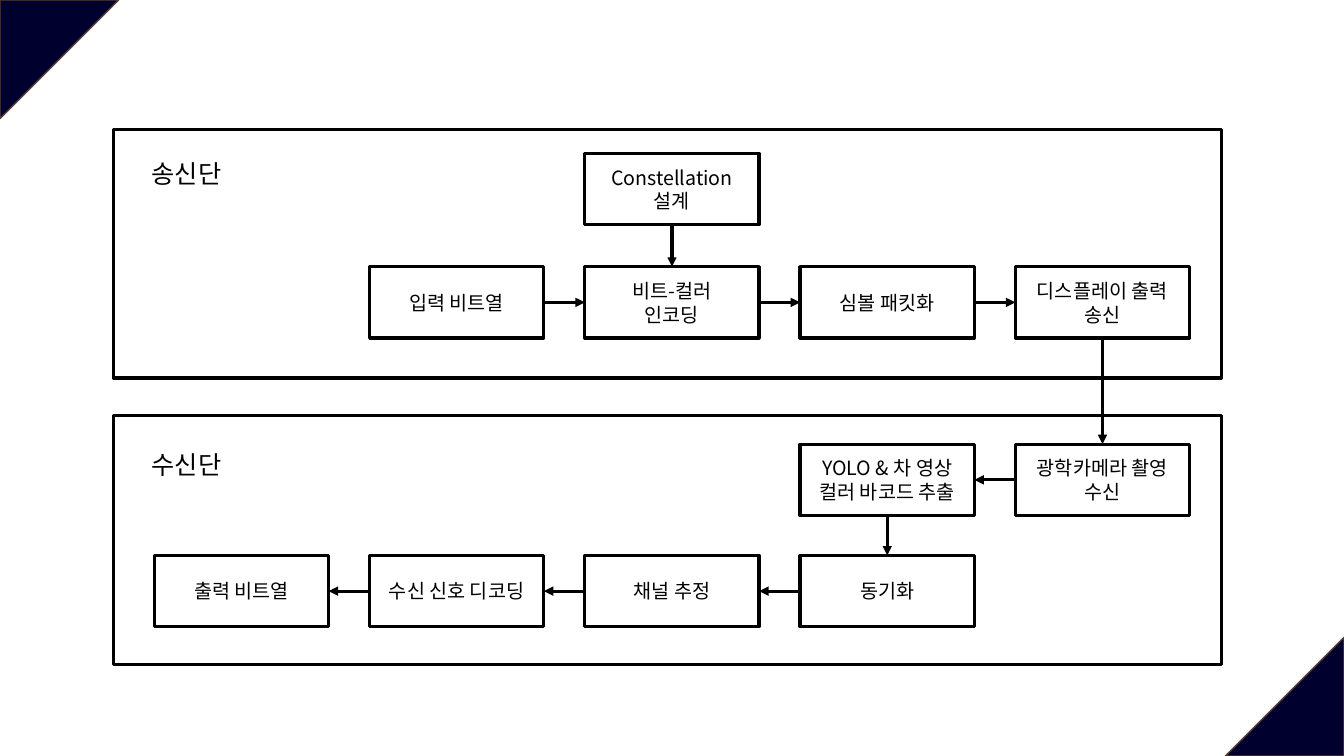
import lxml.etree
import pptx
import pptx.dml.color
import pptx.enum.shapes
import pptx.enum.text
import pptx.oxml.ns
import pptx.util
from dataclasses import dataclass

# key: (column, row, lines)
STEPS = {
    "constellation": (2, 0, ["Constellation", "설계"]),
    "input": (1, 1, ["입력 비트열"]),
    "encoding": (2, 1, ["비트-컬러", "인코딩"]),
    "packets": (3, 1, ["심볼 패킷화"]),
    "display": (4, 1, ["디스플레이 출력", "송신"]),
    "camera": (4, 2, ["광학카메라 촬영", "수신"]),
    "extraction": (3, 2, ["YOLO & 차 영상", "컬러 바코드 추출"]),
    "sync": (3, 3, ["동기화"]),
    "channel": (2, 3, ["채널 추정"]),
    "decoding": (1, 3, ["수신 신호 디코딩"]),
    "output": (0, 3, ["출력 비트열"]),
}
RIGHT, LEFT, DOWN = (3, 1), (1, 3), (2, 0)
FLOWS = [
    ("input", "encoding", RIGHT),
    ("encoding", "packets", RIGHT),
    ("packets", "display", RIGHT),
    ("constellation", "encoding", DOWN),
    ("display", "camera", DOWN),
    ("camera", "extraction", LEFT),
    ("extraction", "sync", DOWN),
    ("sync", "channel", LEFT),
    ("channel", "decoding", LEFT),
    ("decoding", "output", LEFT),
]
# label, frame top, label top
STAGES = [("송신단", 123, 146), ("수신단", 396, 423)]

SLIDE_WIDTH, SLIDE_HEIGHT = 1280, 720
CORNER = 113
FRAME_LEFT, FRAME_WIDTH, FRAME_HEIGHT = 108, 1055, 237
LABEL_LEFT, LABEL_WIDTH, LABEL_HEIGHT = 135, 87, 38
STEP_LEFT, STEP_PITCH, STEP_WIDTH, STEP_HEIGHT = 147, 205, 166, 68
ROW_TOPS = [146, 254, 423, 529]


@dataclass(frozen=True)
class Theme:
    font: str = "Noto Sans CJK KR"
    ink: str = "000000"
    corner: str = "00002F"
    corner_line: str = "5B3F33"
    step_size: int = 14
    label_size: int = 18
    line_width: float = 2.25


THEME = Theme()
PRESET = pptx.enum.shapes.MSO_SHAPE
ALIGN = pptx.enum.text.PP_ALIGN


def px(*lengths):
    return [pptx.util.Emu(length * 9525) for length in lengths]


def color(value):
    return pptx.dml.color.RGBColor.from_string(value)


def set_line(line, value=THEME.ink, width=THEME.line_width):
    line.color.rgb = color(value)
    line.width = pptx.util.Pt(width)


def add_outline(slide, preset, *box):
    shape = slide.shapes.add_shape(preset, *px(*box))
    shape.shadow.inherit = False
    shape.fill.background()
    set_line(shape.line)
    return shape


def write_lines(frame, lines, size, align):
    for index, text in enumerate(lines):
        paragraph = frame.add_paragraph() if index else frame.paragraphs[0]
        paragraph.alignment = align
        run = paragraph.add_run()
        run.text = text
        run.font.size = pptx.util.Pt(size)
        run.font.color.rgb = color(THEME.ink)
        run.font.name = THEME.font
        east_asian = lxml.etree.SubElement(run.font._element, pptx.oxml.ns.qn("a:ea"))
        east_asian.set("typeface", THEME.font)


def add_corner(slide, left, top, rotation):
    corner = add_outline(slide, PRESET.ISOSCELES_TRIANGLE, left, top, CORNER, CORNER)
    corner.adjustments[0] = 0
    corner.rotation = rotation
    corner.fill.solid()
    corner.fill.fore_color.rgb = color(THEME.corner)
    set_line(corner.line, THEME.corner_line, 1)


def add_stage(slide, label, frame_top, label_top):
    add_outline(slide, PRESET.RECTANGLE, FRAME_LEFT, frame_top, FRAME_WIDTH, FRAME_HEIGHT)
    box = slide.shapes.add_textbox(*px(LABEL_LEFT, label_top, LABEL_WIDTH, LABEL_HEIGHT))
    box.text_frame.word_wrap = False
    box.text_frame.auto_size = pptx.enum.text.MSO_AUTO_SIZE.SHAPE_TO_FIT_TEXT
    write_lines(box.text_frame, [label], THEME.label_size, ALIGN.LEFT)


def add_step(slide, column, row, lines):
    left = STEP_LEFT + column * STEP_PITCH
    shape = add_outline(slide, PRESET.RECTANGLE, left, ROW_TOPS[row], STEP_WIDTH, STEP_HEIGHT)
    shape.text_frame.vertical_anchor = pptx.enum.text.MSO_ANCHOR.MIDDLE
    write_lines(shape.text_frame, lines, THEME.step_size, ALIGN.CENTER)
    return shape


def add_arrow(slide, source, target, sides):
    arrow = slide.shapes.add_connector(pptx.enum.shapes.MSO_CONNECTOR.STRAIGHT, 0, 0, 0, 0)
    arrow.begin_connect(source, sides[0])
    arrow.end_connect(target, sides[1])
    set_line(arrow.line)
    properties = arrow._element.spPr
    tail = lxml.etree.SubElement(arrow.line._get_or_add_ln(), pptx.oxml.ns.qn("a:tailEnd"))
    tail.set("type", "triangle")
    lxml.etree.SubElement(properties, pptx.oxml.ns.qn("a:effectLst"))


def main():
    presentation = pptx.Presentation()
    presentation.slide_width, presentation.slide_height = px(SLIDE_WIDTH, SLIDE_HEIGHT)
    slide = presentation.slides.add_slide(presentation.slide_layouts[6])
    add_corner(slide, 0, 0, 90)
    add_corner(slide, SLIDE_WIDTH - CORNER, SLIDE_HEIGHT - CORNER, 270)
    for stage in STAGES:
        add_stage(slide, *stage)
    steps = {key: add_step(slide, *step) for key, step in STEPS.items()}
    for source, target, sides in FLOWS:
        add_arrow(slide, steps[source], steps[target], sides)
    presentation.save("out.pptx")


if __name__ == "__main__":
    main()
